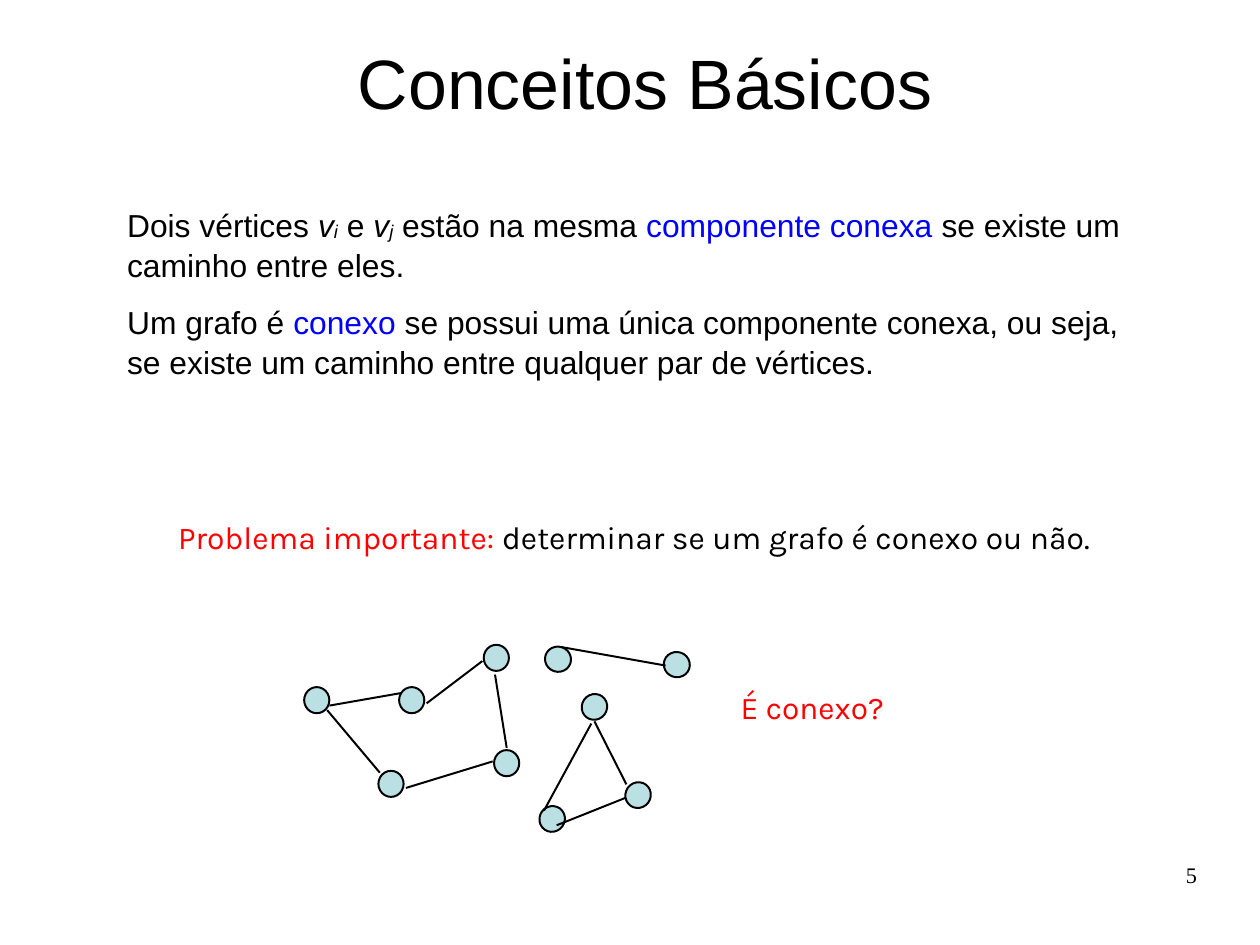
from pptx import Presentation
from pptx.dml.color import RGBColor
from pptx.enum import shapes, text
from pptx.oxml import xmlchemy
from pptx.util import Cm, Pt

COLORS = {"black": "000000", "blue": "0000FF", "red": "FF0000", "node": "BBE0E3"}
NODE_W, NODE_H = 0.56, 0.58

COMPONENTS = [
    (36,
     [(6.45, 1.38), (7.42, 3.34), (5.51, 3.87)],
     [((6.38, 1.75), (5.33, 3.68)),
      ((7.14, 3.4), (5.61, 4.01)),
      ((6.45, 1.7), (7.16, 3.1))]),
    (0,
     [(4.27, 0.29), (2.39, 1.23), (0.28, 1.23), (1.93, 3.09), (4.5, 2.63)],
     [((0.51, 1.45), (1.68, 2.84)),
      ((0.56, 1.35), (2.16, 1.07)),
      ((2.72, 1.3), (3.96, 0.36)),
      ((4.24, 0.66), (4.5, 2.29)),
      ((2.26, 3.18), (4.19, 2.59))]),
    (108,
     [(8.28, 0.44), (5.64, 0.32)],
     [((8.03, 0.46), (5.72, 0.05))]),
]

DEFINITIONS = [
    [("Dois vértices ", "plain"), ("v", "italic"), ("i", "sub"), (" e ", "plain"),
     ("v", "italic"), ("j", "sub"), (" estão na mesma ", "plain"),
     ("componente conexa", "term"),
     (" se existe um caminho entre eles.", "plain")],
    [("Um grafo é ", "plain"), ("conexo", "term"),
     (" se possui uma única componente conexa, ou seja, se existe um caminho "
      "entre qualquer par de vértices.", "plain")],
]


def rgb(name):
    return RGBColor.from_string(COLORS[name])


def add_run(p, words, font, size, color="black"):
    r = p.add_run()
    r.text = words
    r.font.name = font
    r.font.size = Pt(size)
    r.font.color.rgb = rgb(color)
    return r


def place(sp, box):
    sp.left, sp.top, sp.width, sp.height = [Cm(v) for v in box]


def title(s, box):
    sp = s.shapes.title
    place(sp, box)
    tf = sp.text_frame
    tf.auto_size = text.MSO_AUTO_SIZE.NONE
    tf.vertical_anchor = text.MSO_ANCHOR.MIDDLE
    p = tf.paragraphs[0]
    p.alignment = text.PP_ALIGN.CENTER
    add_run(p, "Conceitos Básicos", "Arial", 44)


def definitions(s, box):
    sp = s.placeholders[1]
    place(sp, box)
    tf = sp.text_frame
    tf.auto_size = text.MSO_AUTO_SIZE.NONE
    tf.vertical_anchor = text.MSO_ANCHOR.TOP
    for i, parts in enumerate(DEFINITIONS):
        p = tf.add_paragraph() if i else tf.paragraphs[0]
        pPr = p._p.get_or_add_pPr()
        pPr.set("marL", "0")
        pPr.set("indent", "0")
        pPr.append(xmlchemy.OxmlElement("a:buNone"))
        p.space_before = Pt(11.2 if i else 0)
        p.line_spacing = 1.04
        for words, style in parts:
            r = add_run(p, words, "Arial", 20, "blue" if style == "term" else "black")
            r.font.italic = style in ("italic", "sub")
            if style == "sub":
                r.font._element.set("baseline", "-1000")


def label(s, box, parts, font="Karla", size=20, align=text.PP_ALIGN.LEFT, inset=True):
    tf = s.shapes.add_textbox(*[Cm(v) for v in box]).text_frame
    tf.word_wrap = True
    if not inset:
        tf.margin_left = tf.margin_top = tf.margin_right = tf.margin_bottom = 0
    p = tf.paragraphs[0]
    p.alignment = align
    for words, color in parts:
        add_run(p, words, font, size, color)


def add_node(s, x, y, rotation):
    sp = s.shapes.add_shape(
        shapes.MSO_SHAPE.OVAL, Cm(x - NODE_W / 2), Cm(y - NODE_H / 2),
        Cm(NODE_W), Cm(NODE_H))
    sp.rotation = rotation
    sp.shadow.inherit = False
    sp.fill.solid()
    sp.fill.fore_color.rgb = rgb("node")
    sp.line.color.rgb = rgb("black")
    sp.line.width = Pt(1.25)


def add_edge(s, x1, y1, x2, y2):
    edge = s.shapes.add_connector(
        shapes.MSO_CONNECTOR.STRAIGHT, Cm(x1), Cm(y1), Cm(x2), Cm(y2))
    edge.line.color.rgb = rgb("black")
    edge.line.width = Pt(1.25)
    edge._element.spPr.append(xmlchemy.OxmlElement("a:effectLst"))


def graph(s, left, top):
    for rotation, nodes, edges in COMPONENTS:
        for x, y in nodes:
            add_node(s, left + x, top + y, rotation)
        for (x1, y1), (x2, y2) in edges:
            add_edge(s, left + x1, top + y1, left + x2, top + y2)


def main():
    prs = Presentation()
    prs.slide_width, prs.slide_height = Cm(28), Cm(21)
    s = prs.slides.add_slide(prs.slide_layouts[1])
    title(s, (4.42, 0.71, 19.84, 2.21))
    definitions(s, (2.57, 4.42, 23.34, 13.67))
    graph(s, 6.76, 14.33)
    label(s, (16.21, 15.16, 4.1, 1.22), [("É conexo?", "red")], size=19.9)
    label(s, (3.71, 11.38, 21.74, 2.18),
          [("Problema importante:", "red"),
           (" determinar se um grafo é conexo ou não.", "black")])
    label(s, (20.07, 19.13, 6.53, 1.45), [("5", "black")],
          "Times New Roman", 14, text.PP_ALIGN.RIGHT, inset=False)
    prs.save("out.pptx")


if __name__ == "__main__":
    main()
